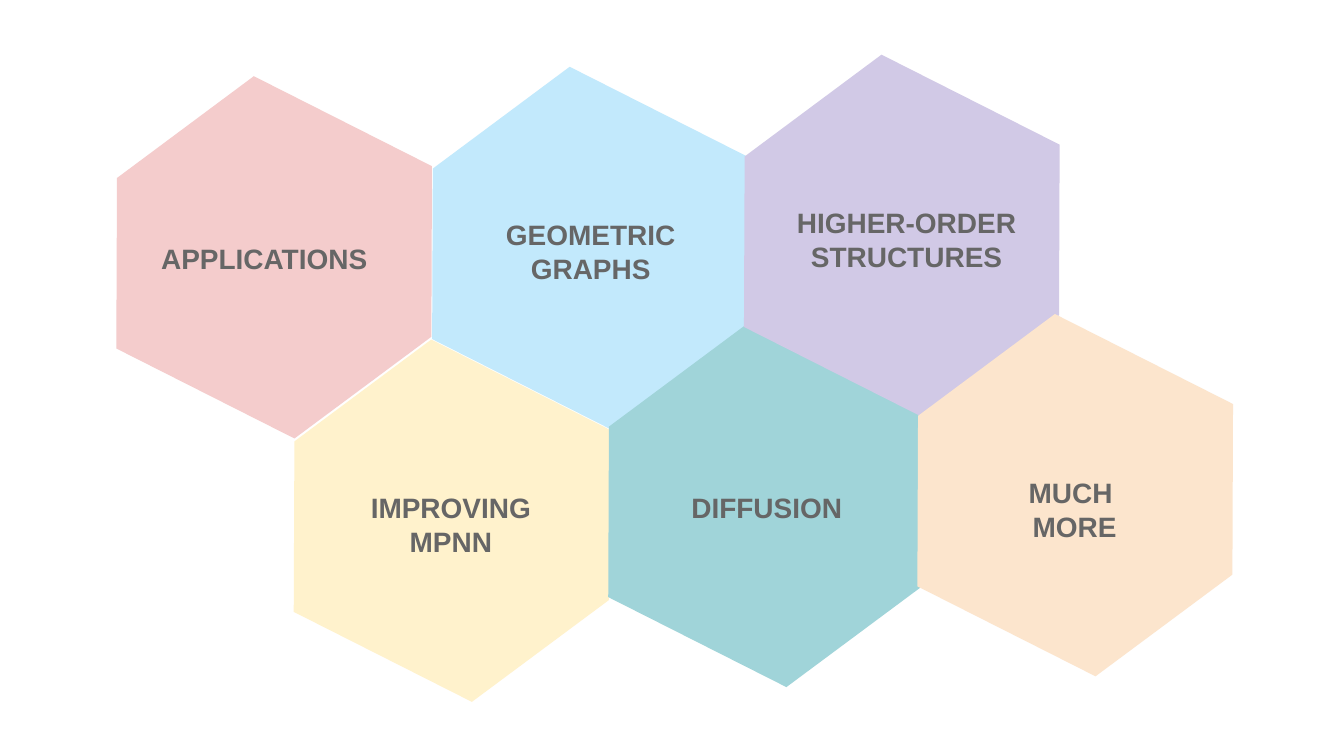
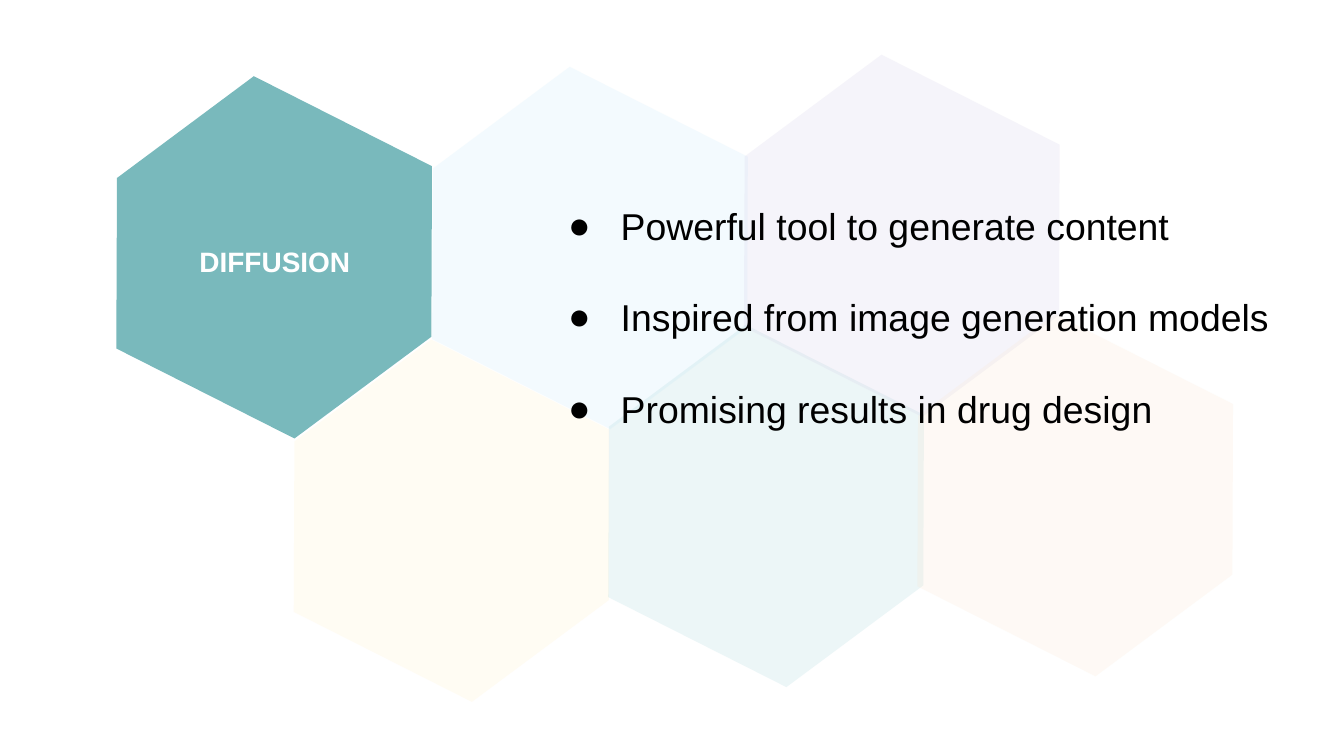
from dataclasses import dataclass

from lxml import etree
from pptx import Presentation
from pptx.dml.color import RGBColor
from pptx.enum.shapes import MSO_SHAPE
from pptx.enum.text import PP_ALIGN
from pptx.oxml.ns import qn
from pptx.slide import Slide
from pptx.text.text import Font, TextFrame
from pptx.util import Inches, Pt

HEXAGON = MSO_SHAPE.HEXAGON
LEFT, CENTER = PP_ALIGN.LEFT, PP_ALIGN.CENTER

COLORS = {
    "pink": "F4CCCC",
    "blue": "C2E9FC",
    "yellow": "FFF2CC",
    "teal": "A0D4D9",
    "purple": "D1C9E6",
    "peach": "FCE5CD",
    "deep_teal": "79B9BC",
    "gray": "666666",
    "white": "FFFFFF",
    "black": "000000",
}
FONT_NAME = "Arial"
SLIDE_WIDTH = Inches(10)
SLIDE_HEIGHT = SLIDE_WIDTH * 9 // 16
CELL_WIDTH, CELL_HEIGHT, CELL_ROTATION = 2.62, 2.27, 26.8
LABEL_WIDTH, LABEL_HEIGHT = 1.89, 0.65
INSET = 0.1


@dataclass(frozen=True)
class Topic:
    label: str
    color: str
    left: float
    top: float
    label_left: float
    label_top: float
    faded_opacity: int = 20
    align: PP_ALIGN = CENTER


TOPICS = [
    Topic("APPLICATIONS", "pink", 0.73, 0.78, 1.1, 1.7, align=LEFT),
    Topic("GEOMETRIC\nGRAPHS", "blue", 3.08, 0.71, 3.45, 1.52, 19),
    Topic("IMPROVING\nMPNN", "yellow", 2.05, 2.74, 2.41, 3.55, 22),
    Topic("DIFFUSION", "teal", 4.39, 2.63, 4.76, 3.55),
    Topic("HIGHER-ORDER\nSTRUCTURES", "purple", 5.4, 0.62, 5.8, 1.43),
    Topic("MUCH \nMORE", "peach", 6.69, 2.55, 7.05, 3.44),
]
FOCUS = Topic("DIFFUSION", "deep_teal", 0.73, 0.78, 1.1, 1.72)
DIFFUSION_POINTS = [
    "Powerful tool to generate content",
    "Inspired from image generation models",
    "Promising results in drug design",
]


def rgb(color: str) -> RGBColor:
    return RGBColor.from_string(COLORS[color])


def style_font(font: Font, size: float, color: str, bold: bool = False) -> None:
    font.name = FONT_NAME
    font.size = Pt(size)
    font.bold = bold
    font.color.rgb = rgb(color)


def add_cell(slide: Slide, topic: Topic, opacity: int = 100) -> None:
    """Draw the hexagon of a topic; opacity is in percent."""
    cell = slide.shapes.add_shape(
        HEXAGON, Inches(topic.left), Inches(topic.top),
        Inches(CELL_WIDTH), Inches(CELL_HEIGHT))
    cell.rotation = CELL_ROTATION
    cell.shadow.inherit = False
    cell.line.fill.background()
    cell.fill.solid()
    cell.fill.fore_color.rgb = rgb(topic.color)
    if opacity < 100:
        fill_color = cell.element.spPr.find(qn("a:solidFill")).find(qn("a:srgbClr"))
        etree.SubElement(fill_color, qn("a:alpha"), val=str(opacity * 1000))


def add_text_frame(slide: Slide, left: float, top: float,
                   width: float, height: float) -> TextFrame:
    frame = slide.shapes.add_textbox(
        Inches(left), Inches(top), Inches(width), Inches(height)).text_frame
    frame.word_wrap = True
    frame.margin_left = frame.margin_right = Inches(INSET)
    frame.margin_top = frame.margin_bottom = Inches(INSET)
    return frame


def add_label(slide: Slide, topic: Topic, color: str) -> None:
    frame = add_text_frame(slide, topic.label_left, topic.label_top,
                           LABEL_WIDTH, LABEL_HEIGHT)
    frame.text = topic.label
    for paragraph in frame.paragraphs:
        paragraph.alignment = topic.align
        for run in paragraph.runs:
            style_font(run.font, 15, color, bold=True)


def add_bullets(slide: Slide, points: list[str]) -> None:
    frame = add_text_frame(slide, 4.02, 1.41, 5.56, 3.75)
    frame.text = "\n".join(points)
    for index, paragraph in enumerate(frame.paragraphs):
        properties = paragraph._p.get_or_add_pPr()
        properties.set("marL", str(Inches(0.5)))
        properties.set("indent", str(Inches(-0.39)))
        bullet_color = etree.SubElement(properties, qn("a:buClr"))
        etree.SubElement(bullet_color, qn("a:srgbClr"), val=COLORS["black"])
        etree.SubElement(properties, qn("a:buFont"), typeface=FONT_NAME)
        etree.SubElement(properties, qn("a:buChar"), char="●")
        if index:
            paragraph.space_before = Pt(25)
        for run in paragraph.runs:
            style_font(run.font, 20, "black")


def build_overview(slide: Slide) -> None:
    for topic in TOPICS:
        add_cell(slide, topic)
    for topic in TOPICS:
        add_label(slide, topic, "gray")


def build_diffusion(slide: Slide) -> None:
    add_cell(slide, FOCUS)
    for topic in TOPICS[1:]:
        add_cell(slide, topic, topic.faded_opacity)
    add_label(slide, FOCUS, "white")
    add_bullets(slide, DIFFUSION_POINTS)


def main() -> None:
    deck = Presentation()
    deck.slide_width, deck.slide_height = SLIDE_WIDTH, SLIDE_HEIGHT
    blank = deck.slide_layouts[6]
    for build in (build_overview, build_diffusion):
        build(deck.slides.add_slide(blank))
    deck.save("out.pptx")


if __name__ == "__main__":
    main()
